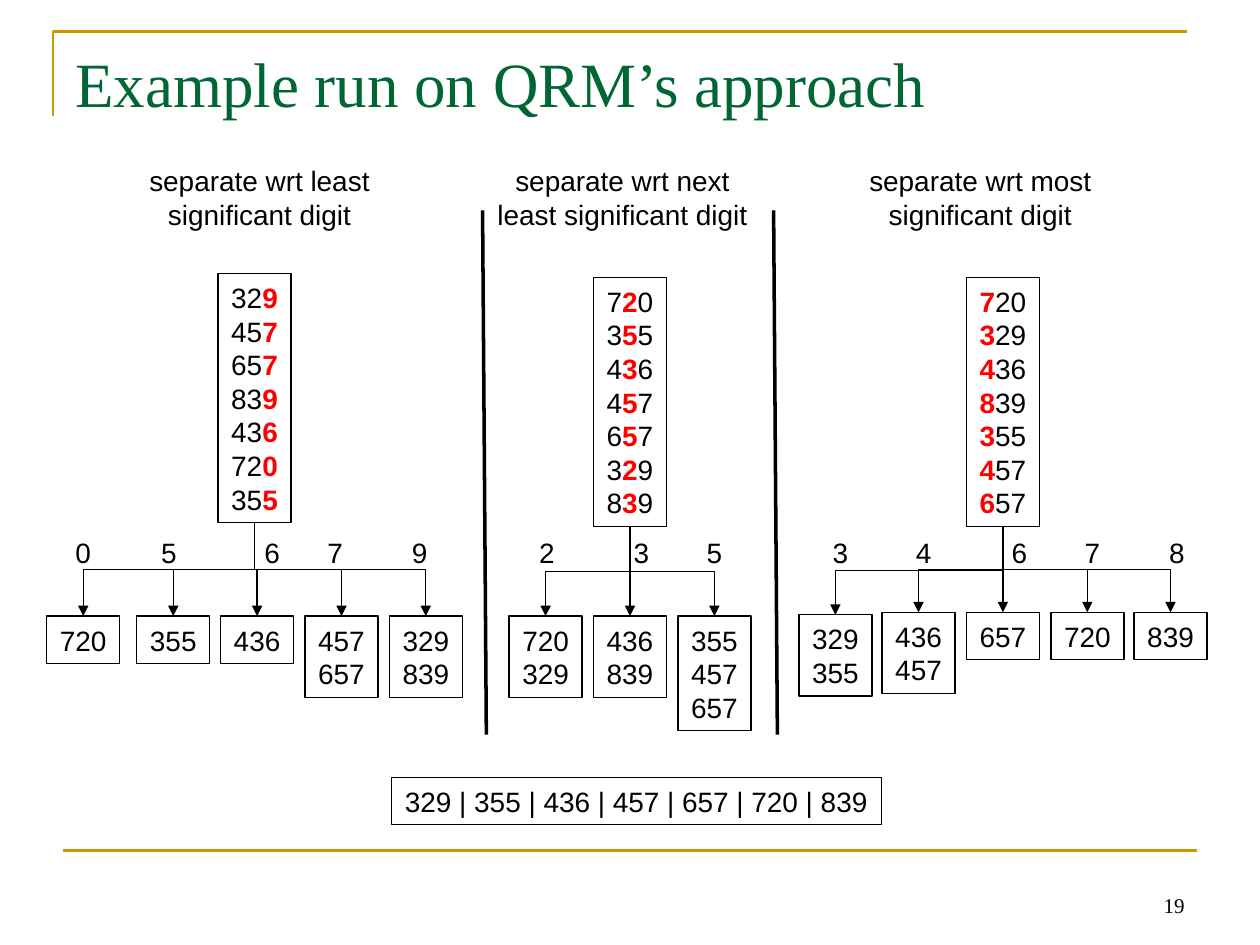
import pptx
import pptx.dml.color
import pptx.enum.shapes
import pptx.enum.text
import pptx.oxml
import pptx.oxml.ns
import pptx.util

COLORS = {"ink": "000000", "digit": "FF0000", "title": "006633", "rule": "CC9900"}
COLUMNS = 100
UNIT = pptx.util.Inches(10) // COLUMNS
BOX_W = 5.8
BUCKET_ROW = 48.9
LABEL_ROW = 42
ALIGN = pptx.enum.text.PP_ALIGN
CONNECTOR = pptx.enum.shapes.MSO_CONNECTOR

NUMBERS = ["329", "457", "657", "839", "436", "720", "355"]
STAGES = [
    {"heading": "separate wrt least\nsignificant digit", "heading_x": 20.6,
     "digit": 2, "x": 20.2, "top": 21.7,
     "buckets": [6.6, 13.75, 20.4, 27.1, 33.8],
     "labels": [6.6, 13.4, 21.6, 26.6, 33.3], "rows": [BUCKET_ROW] * 5},
    {"heading": "separate wrt next\nleast significant digit", "heading_x": 49.4,
     "digit": 1, "x": 50, "top": 22,
     "buckets": [43.3, 50, 56.7],
     "labels": [43.4, 50.9, 56.7], "rows": [BUCKET_ROW] * 3},
    {"heading": "separate wrt most\nsignificant digit", "heading_x": 77.8,
     "digit": 0, "x": 79.6, "top": 22,
     "buckets": [66.3, 72.9, 79.6, 86.3, 92.9],
     "labels": [66.7, 73.3, 80.9, 86.7, 93.4], "rows": [48.8] + [48.6] * 4},
]


def grid(*cells):
    """Turn columns and rows of the slide grid into lengths."""
    return [pptx.util.Emu(round(c * UNIT)) for c in cells]


def rgb(name):
    """Look up a named colour."""
    return pptx.dml.color.RGBColor.from_string(COLORS[name])


def style_run(r, size=16, font="Arial", color="ink", bold=False):
    """Set the font of one run."""
    r.font.size = pptx.util.Pt(size)
    r.font.name = font
    r.font.bold = bold
    r.font.color.rgb = rgb(color)


def style_line(s, color="ink", width=0.75):
    """Set the colour and width of an outline."""
    s.line.color.rgb = rgb(color)
    s.line.width = pptx.util.Pt(width)


def add_text(slide, text, x, y, w, h, align=ALIGN.CENTER, anchor="TOP", wrap=False, **font):
    """Add a plain text box."""
    tf = slide.shapes.add_textbox(*grid(x, y, w, h)).text_frame
    tf.word_wrap = wrap
    tf.vertical_anchor = pptx.enum.text.MSO_ANCHOR[anchor]
    tf.text = text
    for p in tf.paragraphs:
        p.alignment = align
        for r in p.runs:
            style_run(r, **font)


def add_box(slide, lines, center, top, width=BOX_W, digit=None):
    """Add an outlined list of numbers and return its bottom row."""
    height = 1.1 + 2.67 * len(lines)
    s = slide.shapes.add_shape(pptx.enum.shapes.MSO_SHAPE.RECTANGLE,
                               *grid(center - width / 2, top, width, height))
    s.shadow.inherit = False
    s.fill.background()
    style_line(s)
    tf = s.text_frame
    tf.word_wrap = False
    for i, line in enumerate(lines):
        p = tf.add_paragraph() if i else tf.paragraphs[0]
        p.alignment = ALIGN.CENTER
        parts = [line] if digit is None else [line[:digit], line[digit], line[digit + 1:]]
        for k, part in enumerate(parts):
            if part:
                r = p.add_run()
                r.text = part
                style_run(r, color="digit" if k == 1 else "ink", bold=k == 1)
    return top + height


def add_line(slide, x1, y1, x2, y2, color="ink", width=0.75, kind=CONNECTOR.STRAIGHT):
    """Add a connector without shadow."""
    c = slide.shapes.add_connector(kind, *grid(x1, y1, x2, y2))
    style_line(c, color, width)
    c._element.spPr.append(pptx.oxml.parse_xml(
        "<a:effectLst %s/>" % pptx.oxml.ns.nsdecls("a")))
    return c


def add_arrow(slide, x1, y1, x2, y2):
    """Add a downward arrow, bent halfway where the ends are not aligned."""
    if x1 == x2:
        c = add_line(slide, x1, y1, x2, y2)
    else:
        mx, my, w, h = (x1 + x2) / 2, (y1 + y2) / 2, (y2 - y1) / 2, abs(x2 - x1) / 2
        side = 1 if x2 > x1 else -1
        c = add_line(slide, mx + side * w, my - h, mx - side * w, my + h,
                     kind=CONNECTOR.ELBOW)
        c._element.spPr.xfrm.set("rot", str(60000 * (180 + 90 * side)))
    c.line._get_or_add_ln().append(pptx.oxml.parse_xml(
        '<a:tailEnd type="triangle" %s/>' % pptx.oxml.ns.nsdecls("a")))


def add_frame(slide):
    """Draw the corner rule and the footer rule."""
    fb = slide.shapes.build_freeform(*grid(4.2, 9.2))
    fb.add_line_segments([grid(4.2, 2.5), grid(94.2, 2.5)], close=False)
    s = fb.convert_to_shape()
    s.shadow.inherit = False
    s.fill.background()
    style_line(s, "rule", 1.5)
    add_line(slide, 5, 67.5, 95, 67.5, "rule", 1.5)


def add_stage(slide, stage, numbers):
    """Draw one sorting pass and return the numbers in their new order."""
    digit = stage["digit"]
    add_text(slide, stage["heading"], stage["heading_x"] - 11, 12.5, 22, 6.4)
    bottom = add_box(slide, numbers, stage["x"], stage["top"], digit=digit)
    keys = sorted({n[digit] for n in numbers})
    for key, x, label_x, row in zip(keys, stage["buckets"], stage["labels"], stage["rows"]):
        add_box(slide, [n for n in numbers if n[digit] == key], x, row)
        add_arrow(slide, stage["x"], bottom, x, row)
        add_text(slide, key, label_x - 1.6, LABEL_ROW, 3.2, 3.7)
    return sorted(numbers, key=lambda n: n[digit])


def main():
    """Build the radix sort slide."""
    prs = pptx.Presentation()
    prs.slide_width, prs.slide_height = grid(COLUMNS, 75)
    slide = prs.slides.add_slide(prs.slide_layouts[6])
    add_frame(slide)
    add_text(slide, "Example run on QRM’s approach", 5, 3, 90, 12.5, ALIGN.LEFT,
             wrap=True, size=36, font="Times New Roman", color="title")
    add_text(slide, "19", 71.7, 68.3, 23.3, 5, ALIGN.RIGHT, "BOTTOM",
             wrap=True, size=12, font="Times New Roman")
    numbers = NUMBERS
    for stage in STAGES:
        numbers = add_stage(slide, stage, numbers)
    for x in (38.3, 61.4):
        add_line(slide, x, 16.7, x + 0.3, 58.3, width=2)
    add_box(slide, [" | ".join(numbers)], 50.5, 61.7, width=38.9)
    prs.save("out.pptx")


if __name__ == "__main__":
    main()
